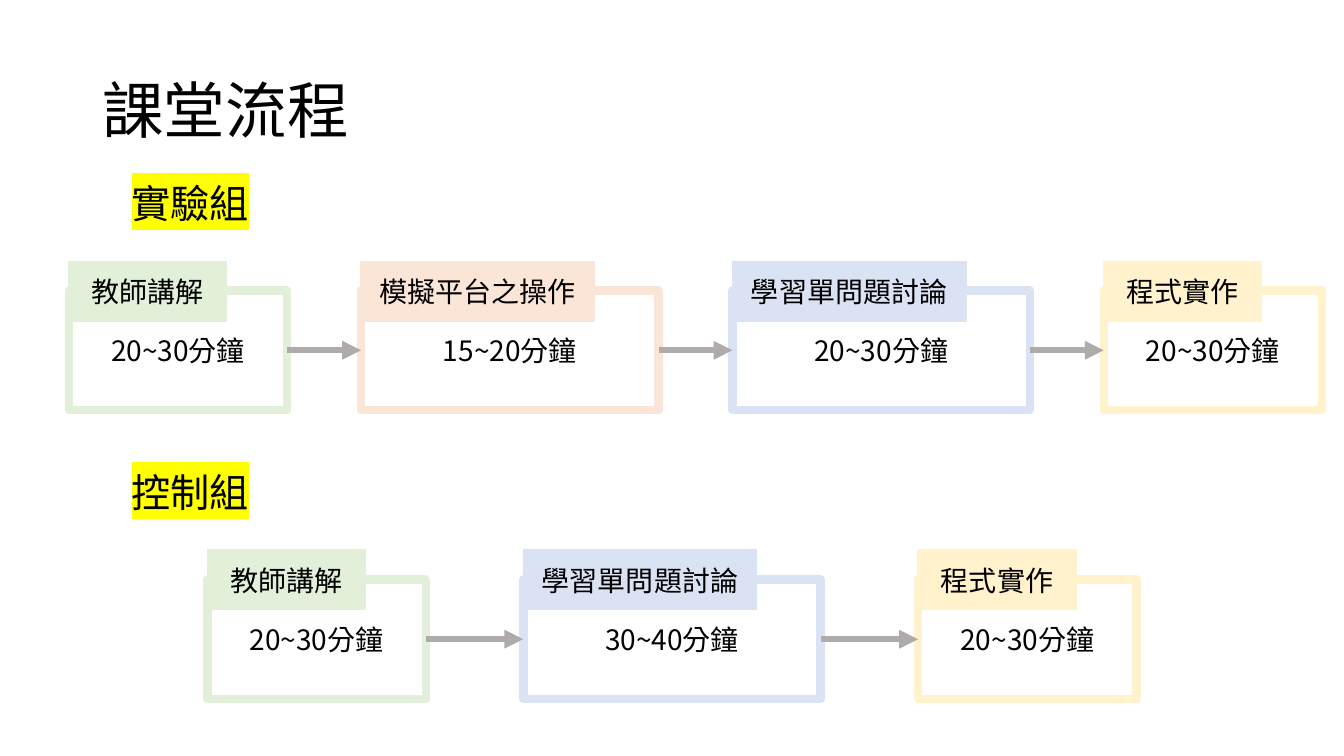
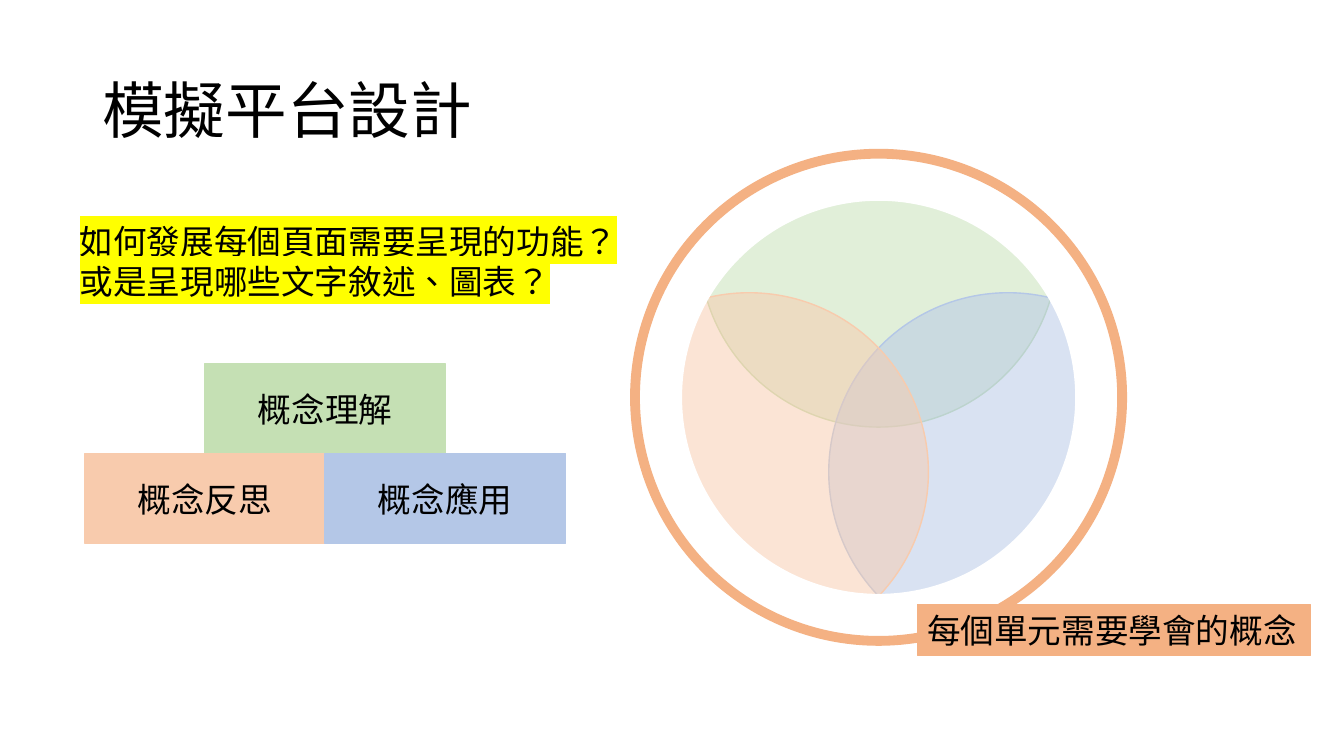
"""Build two slides on a class flow and the design of a simulation platform."""
import math

import lxml.etree
import pptx
import pptx.dml.color
import pptx.enum.dml
import pptx.enum.lang
import pptx.enum.shapes
import pptx.enum.text
import pptx.oxml.ns
import pptx.util

COLUMNS, ROWS = 160, 90
CELL = pptx.util.Pt(6)
FONT = "Noto Sans CJK SC"
COLOURS = {
    "ink": "000000", "paper": "FFFFFF", "marker": "FFFF00", "arrow": "AFABAB",
    "pale green": "E2F0D9", "pale orange": "FBE5D6",
    "pale blue": "DAE3F3", "pale yellow": "FFF2CC",
    "green": "C5E0B4", "orange": "F8CBAD", "blue": "B4C7E7", "deep orange": "F4B183",
}
SHAPES = pptx.enum.shapes.MSO_SHAPE
MIDDLE = pptx.enum.text.MSO_ANCHOR.MIDDLE
CENTRED = {"alignment": pptx.enum.text.PP_ALIGN.CENTER}
CENTRED_FRAME = {"word_wrap": True, "vertical_anchor": MIDDLE}
LEFT = {"alignment": pptx.enum.text.PP_ALIGN.LEFT}
TITLE_PARAGRAPH = {**LEFT, "line_spacing": 0.9}
GROWING_FRAME = {
    "word_wrap": False,
    "auto_size": pptx.enum.text.MSO_AUTO_SIZE.SHAPE_TO_FIT_TEXT,
    "vertical_anchor": pptx.enum.text.MSO_ANCHOR.TOP,
}

NARROW = {"body": 26, "header": 18.8}
WIDE = {"body": 35.4, "header": 27.8}
FLOWS = [
    {"label": "實驗組", "top": 20.8, "left": 8.2, "gap": 8.8, "stages": [
        ("教師講解", "20~30分鐘", NARROW, "pale green"),
        ("模擬平台之操作", "15~20分鐘", WIDE, "pale orange"),
        ("學習單問題討論", "20~30分鐘", WIDE, "pale blue"),
        ("程式實作", "20~30分鐘", NARROW, "pale yellow")]},
    {"label": "控制組", "top": 55.2, "left": 24.7, "gap": 11.6, "stages": [
        ("教師講解", "20~30分鐘", NARROW, "pale green"),
        ("學習單問題討論", "30~40分鐘", WIDE, "pale blue"),
        ("程式實作", "20~30分鐘", NARROW, "pale yellow")]},
]


def apply_format(target, values):
    """Set each named attribute of the target."""
    for name, value in values.items():
        setattr(target, name, value)


def cells(*lengths):
    """Turn grid cells into slide lengths."""
    return [round(length * CELL) for length in lengths]


def rgb(colour):
    """Look up a named colour."""
    return pptx.dml.color.RGBColor.from_string(COLOURS[colour])


def add_xml(parent, tag, **attributes):
    """Append a drawing element to the parent."""
    return lxml.etree.SubElement(parent, pptx.oxml.ns.qn(tag), attributes)


def write_text(shape, lines, size, frame_format, paragraph_format, marked=False):
    """Write one styled paragraph for each line."""
    frame = shape.text_frame
    apply_format(frame, frame_format)
    for index, line in enumerate(lines):
        paragraph = frame.add_paragraph() if index else frame.paragraphs[0]
        apply_format(paragraph, paragraph_format)
        run = paragraph.add_run()
        run.text = line
        properties = run.font._element
        if marked:
            add_xml(add_xml(properties, "a:highlight"), "a:srgbClr", val=COLOURS["marker"])
        run.font.color.rgb = rgb("ink")
        apply_format(run.font, {
            "size": pptx.util.Pt(size), "name": FONT,
            "language_id": pptx.enum.lang.MSO_LANGUAGE_ID.TRADITIONAL_CHINESE})
        add_xml(properties, "a:ea", typeface=FONT)


def add_text(slide, box, lines, size, frame_format, paragraph_format=LEFT, marked=False):
    """Place a text box on the grid."""
    shape = slide.shapes.add_textbox(*cells(*box))
    write_text(shape, lines, size, frame_format, paragraph_format, marked)


def add_figure(shapes, kind, box, fill, line, width=1):
    """Place a filled and outlined shape on the grid."""
    shape = shapes.add_shape(kind, *cells(*box))
    shape.shadow.inherit = False
    shape.fill.solid()
    shape.fill.fore_color.rgb = rgb(fill)
    shape.line.color.rgb = rgb(line)
    shape.line.width = pptx.util.Pt(width)
    return shape


def add_block(shapes, box, text, size, fill, line, width=1):
    """Place a rectangle with centred text."""
    block = add_figure(shapes, SHAPES.RECTANGLE, box, fill, line, width)
    write_text(block, [text], size, CENTRED_FRAME, CENTRED)
    return block


def add_titled_slide(presentation, title):
    """Add a blank slide with the shared title style."""
    slide = presentation.slides.add_slide(presentation.slide_layouts[6])
    add_text(slide, (11, 4.8, 138, 17.4), [title], 44, CENTRED_FRAME, TITLE_PARAGRAPH)
    return slide


def add_stage(slide, left, top, stage):
    """Group a framed duration with its header and return the frame."""
    name, duration, widths, colour = stage
    shapes = slide.shapes.add_group_shape().shapes
    body = add_block(shapes, (left, top + 3.5, widths["body"], 14.2),
                     duration, 20, "paper", colour, 6)
    add_block(shapes, (left, top, widths["header"], 7.1), name, 20, colour, colour)
    return body


def add_arrow(slide, start, end):
    """Join the right side of one frame to the left side of the next."""
    arrow = slide.shapes.add_connector(pptx.enum.shapes.MSO_CONNECTOR.STRAIGHT, 0, 0, 0, 0)
    arrow.begin_connect(start, 3)
    arrow.end_connect(end, 1)
    arrow.line.color.rgb = rgb("arrow")
    arrow.line.width = pptx.util.Pt(4.5)
    add_xml(arrow.element.find(".//" + pptx.oxml.ns.qn("a:ln")), "a:tailEnd", type="triangle")
    add_xml(arrow.element.spPr, "a:effectLst")


def add_flow(slide, flow):
    """Draw a labelled row of stages joined by arrows."""
    top, left = flow["top"], flow["left"]
    add_text(slide, (14.5, top, 16.6, 6.8), [flow["label"]], 28, GROWING_FRAME, marked=True)
    bodies = []
    for stage in flow["stages"]:
        bodies.append(add_stage(slide, left, top + 10.3, stage))
        left += stage[2]["body"] + flow["gap"]
    for start, end in zip(bodies, bodies[1:]):
        add_arrow(slide, start, end)


def round_box(centre, diameter):
    """Return the box of a circle around a centre."""
    return (centre[0] - diameter / 2, centre[1] - diameter / 2, diameter, diameter)


def add_venn(slide, centre):
    """Draw three translucent circles trimmed by two rings."""
    petals = slide.shapes.add_group_shape().shapes
    for colour, degrees in (("green", -90), ("blue", 30), ("orange", 150)):
        angle = math.radians(degrees)
        middle = (centre[0] + 17.8 * math.cos(angle), centre[1] + 17.8 * math.sin(angle))
        petal = add_figure(petals, SHAPES.OVAL, round_box(middle, 42.7), colour, colour)
        fill = petal.element.spPr.find(".//" + pptx.oxml.ns.qn("a:srgbClr"))
        add_xml(fill, "a:alpha", val="50000")
    for colour, diameter, thickness in (("paper", 79.6, 0.205), ("deep orange", 59, 0.017)):
        ring = add_figure(slide.shapes, SHAPES.DONUT, round_box(centre, diameter), colour, colour)
        ring.adjustments[0] = thickness


def add_pyramid(slide, left, top, width, height):
    """Stack one concept block over two."""
    blocks = (("概念理解", 0.5, 0, "green"), ("概念反思", 0, 1, "orange"),
              ("概念應用", 1, 1, "blue"))
    for text, column, row, colour in blocks:
        box = (left + column * width, top + row * height, width, height)
        add_block(slide.shapes, box, text, 24, colour, colour)


def main():
    """Build and save the presentation."""
    presentation = pptx.Presentation()
    apply_format(presentation, {"slide_width": COLUMNS * CELL, "slide_height": ROWS * CELL})

    flow_slide = add_titled_slide(presentation, "課堂流程")
    for flow in FLOWS:
        add_flow(flow_slide, flow)

    design_slide = add_titled_slide(presentation, "模擬平台設計")
    add_venn(design_slide, (104.6, 47.3))
    badge = add_figure(design_slide.shapes, SHAPES.RECTANGLE, (109.2, 72, 46.8, 6),
                       "deep orange", "deep orange", 0.75)
    write_text(badge, ["每個單元需要學會的概念"], 24, GROWING_FRAME, LEFT)
    add_pyramid(design_slide, 10.1, 43.3, 28.6, 10.7)
    add_text(design_slide, (8.3, 25.7, 67.1, 10.9),
             ["如何發展每個頁面需要呈現的功能？", "或是呈現哪些文字敘述、圖表？"],
             24, GROWING_FRAME, marked=True)
    presentation.save("out.pptx")


if __name__ == "__main__":
    main()
